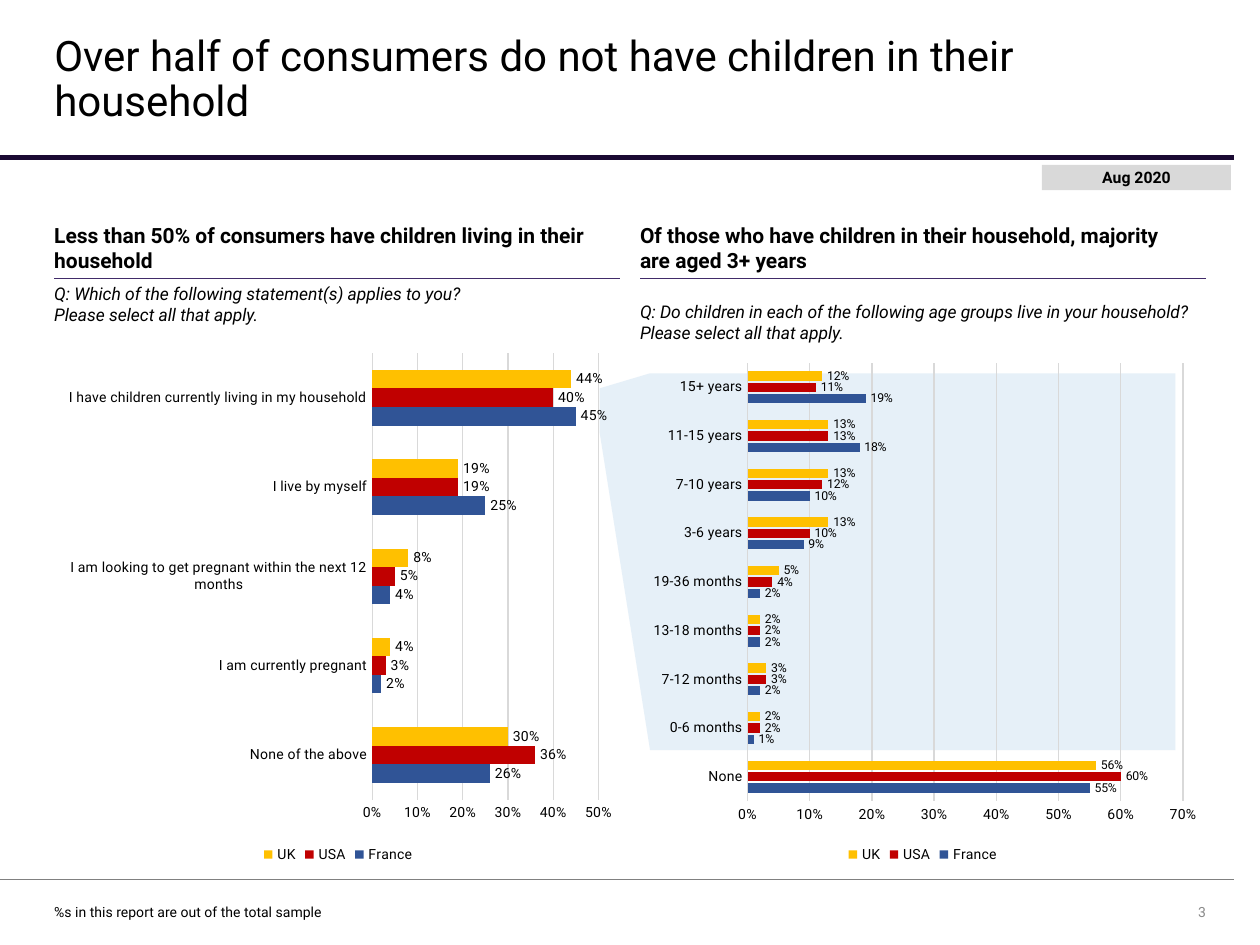
from lxml import etree
from pptx import Presentation
from pptx.chart.data import CategoryChartData
from pptx.dml.color import RGBColor
from pptx.enum import chart as ch, shapes as sh, text as tx
from pptx.oxml import parse_xml
from pptx.oxml.ns import nsdecls, qn
from pptx.util import Pt

FONT = "Roboto"
BLACK = RGBColor(0, 0, 0)
NAVY = RGBColor(0x1B, 0x0A, 0x33)
PURPLE = RGBColor(0x41, 0x2B, 0x69)
GREY = RGBColor(0x80, 0x80, 0x80)
PALE = RGBColor(0xD9, 0xD9, 0xD9)
DIM = RGBColor(0x89, 0x89, 0x89)
SKY = RGBColor(0xD7, 0xE7, 0xF5)
BARS = {
    "France": RGBColor(0x30, 0x54, 0x96),
    "USA": RGBColor(0xC0, 0, 0),
    "UK": RGBColor(0xFF, 0xC0, 0),
}
COLS = (31, 365.75)
WIDE = 323.25
HOMES = (
    ("None of the above", 0.26, 0.36, 0.30),
    ("I am currently pregnant", 0.02, 0.03, 0.04),
    ("I am looking to get pregnant within the next 12 months", 0.04, 0.05, 0.08),
    ("I live by myself", 0.25, 0.19, 0.19),
    ("I have children currently living in my household", 0.45, 0.40, 0.44),
)
AGES = (
    ("None", 0.55, 0.60, 0.56),
    ("0-6 months", 0.01, 0.02, 0.02),
    ("7-12 months", 0.02, 0.03, 0.03),
    ("13-18 months", 0.02, 0.02, 0.02),
    ("19-36 months", 0.02, 0.04, 0.05),
    ("3-6 years", 0.09, 0.10, 0.13),
    ("7-10 years", 0.10, 0.12, 0.13),
    ("11-15 years", 0.18, 0.13, 0.13),
    ("15+ years", 0.19, 0.11, 0.12),
)


def style(font, size, color=BLACK, bold=False, italic=False):
    """Set the face, size, colour and weight of a font."""
    font.name, font.size = FONT, Pt(size)
    font.bold, font.italic = bold, italic
    font.color.rgb = color


def write(slide, words, box, size, fill=None, anchor="BOTTOM", align="LEFT",
          inset=(0, 3.6, 7.2, 0), before=0, lead=None, **look):
    """Place one paragraph of text in a box."""
    item = slide.shapes.add_textbox(*map(Pt, box))
    if fill is not None:
        item.fill.solid()
        item.fill.fore_color.rgb = fill
    frame = item.text_frame
    frame.word_wrap = True
    frame.vertical_anchor = getattr(tx.MSO_ANCHOR, anchor)
    (frame.margin_left, frame.margin_top,
     frame.margin_right, frame.margin_bottom) = map(Pt, inset)
    para = frame.paragraphs[0]
    para.text = words
    para.alignment = getattr(tx.PP_ALIGN, align)
    para.space_before = Pt(before)
    if lead:
        para.line_spacing = lead
    for run in para.runs:
        style(run.font, size, **look)


def rule(slide, left, top, width, color, weight):
    """Draw a level line."""
    line = slide.shapes.add_connector(
        sh.MSO_CONNECTOR.STRAIGHT, Pt(left), Pt(top), Pt(left + width), Pt(top))
    line.line.color.rgb = color
    line.line.width = Pt(weight)
    etree.SubElement(line._element.spPr, qn("a:effectLst"))


def callout(slide, left, top, width, height):
    """Draw the tinted panel with a wedge that points at the left chart."""
    right, base, neck = left + width, top + height, left + 28.8
    build = slide.shapes.build_freeform(Pt(left), Pt(top + 8.6))
    build.add_line_segments([(Pt(x), Pt(y)) for x, y in (
        (neck, top), (right, top), (right, base), (neck, base), (left, top + 34))])
    panel = build.convert_to_shape()
    panel.shadow.inherit = False
    panel.line.fill.background()
    panel.fill.solid()
    panel.fill.fore_color.rgb = SKY
    tint = panel._element.spPr.find(qn("a:solidFill"))[0]
    etree.SubElement(tint, qn("a:alpha"), val="62000")


def frame_plot(chart, spots):
    """Fix the inner plot area as shares of the chart box."""
    parts = "".join(f'<c:{key}Mode val="edge"/>' for key in "xy")
    parts += "".join(f'<c:{key} val="{val}"/>' for key, val in zip("xywh", spots))
    area = chart._chartSpace.chart.plotArea
    for old in area.findall(qn("c:layout")):
        area.remove(old)
    area.insert(0, parse_xml(
        f'<c:layout {nsdecls("c")}><c:manualLayout><c:layoutTarget val="inner"/>'
        f'{parts}</c:manualLayout></c:layout>'))


def bars(slide, box, rows, top, spots, size, overlap):
    """Add a clustered bar chart with one series per country."""
    names, *cols = zip(*rows)
    data = CategoryChartData(number_format="0%")
    data.categories = names
    for name, vals in zip(BARS, cols):
        data.add_series(name, vals)
    chart = slide.shapes.add_chart(
        ch.XL_CHART_TYPE.BAR_CLUSTERED, *map(Pt, box), data).chart
    style(chart.font, 8)
    chart.has_title = False
    chart.has_legend = True
    chart.legend.position = ch.XL_LEGEND_POSITION.BOTTOM
    chart.legend.include_in_layout = False
    style(chart.legend.font, 8)
    cat, val = chart.category_axis, chart.value_axis
    for axis in (cat, val):
        axis.major_tick_mark = axis.minor_tick_mark = ch.XL_TICK_MARK.NONE
        style(axis.tick_labels.font, 8)
    val.minimum_scale, val.maximum_scale, val.major_unit = 0, top, 0.1
    val.tick_labels.number_format = "0%"
    val.tick_labels.number_format_is_linked = False
    val.format.line.fill.background()
    cat.has_major_gridlines = False
    val.has_major_gridlines = True
    for part in (cat, val.major_gridlines):
        part.format.line.color.rgb = PALE
        part.format.line.width = Pt(0.75)
    plot = chart.plots[0]
    plot.vary_by_categories = False
    plot.gap_width, plot.overlap = 182, overlap
    for series in plot.series:
        series.format.fill.solid()
        series.format.fill.fore_color.rgb = BARS[series.name]
        tags = series.data_labels
        tags.show_value = True
        tags.position = ch.XL_LABEL_POSITION.OUTSIDE_END
        tags.number_format, tags.number_format_is_linked = "0%", False
        style(tags.font, size)
    frame_plot(chart, spots)


def head(slide, left, width):
    """Write the title, its rule and the date tag."""
    write(slide, "Over half of consumers do not have children in their household",
          (left, 13.7, width, 64.8), 24, anchor="MIDDLE",
          inset=(0, 3.6, 7.2, 3.6), lead=0.9)
    rule(slide, 0, 90, 705, NAVY, 3)
    write(slide, "Aug 2020", (595.4, 94.3, 108, 14.4), 9, fill=PALE,
          anchor="MIDDLE", align="CENTER", inset=(7.2, 0, 7.2, 0), bold=True)


def ask(slide, left, title, query, low):
    """Write a column's heading, its rule and the survey question."""
    write(slide, title, (left, 122.4, WIDE, 33.5), 12, before=7.5, bold=True)
    rule(slide, left, 159, WIDE, PURPLE, 0.5)
    write(slide, query, (left, low - 33.5, WIDE, 33.5), 10, before=7.5, italic=True)


def foot(slide, left, top):
    """Write the footnote and page number under a rule."""
    rule(slide, 0, 502.5, 705, GREY, 1)
    write(slide, "%s in this report are out of the total sample",
          (left, top, 453.6, 17.3), 8, inset=(0, 3.6, 7.2, 3.6))
    write(slide, "3", (661.7, top, 27.4, 17.3), 8, align="RIGHT",
          inset=(7.2, 3.6, 0, 3.6), color=DIM)


def main():
    """Build and save the slide."""
    deck = Presentation()
    deck.slide_width, deck.slide_height = Pt(720), Pt(540)
    slide = deck.slides.add_slide(deck.slide_layouts[6])
    one, two = COLS
    head(slide, one, 658)
    callout(slide, 342.7, 213.3, 329, 215.3)
    bars(slide, (two, 201.6, WIDE, 294.5), AGES, 0.7,
         (0.19, 0.02, 0.77, 0.85), 7, -23)
    ask(slide, one,
        "Less than 50% of consumers have children living in their household",
        "Q: Which of the following statement(s) applies to you?\v"
        "Please select all that apply.", 185.8)
    ask(slide, two,
        "Of those who have children in their household, majority are aged 3+ years",
        "Q: Do children in each of the following age groups live in your household?\v"
        "Please select all that apply.", 195.8)
    bars(slide, (one + 0.7, 195.8, WIDE, 300.3), HOMES, 0.5,
         (0.56, 0.02, 0.4, 0.85), 8, 0)
    foot(slide, one, 512)
    deck.save("out.pptx")


if __name__ == "__main__":
    main()
